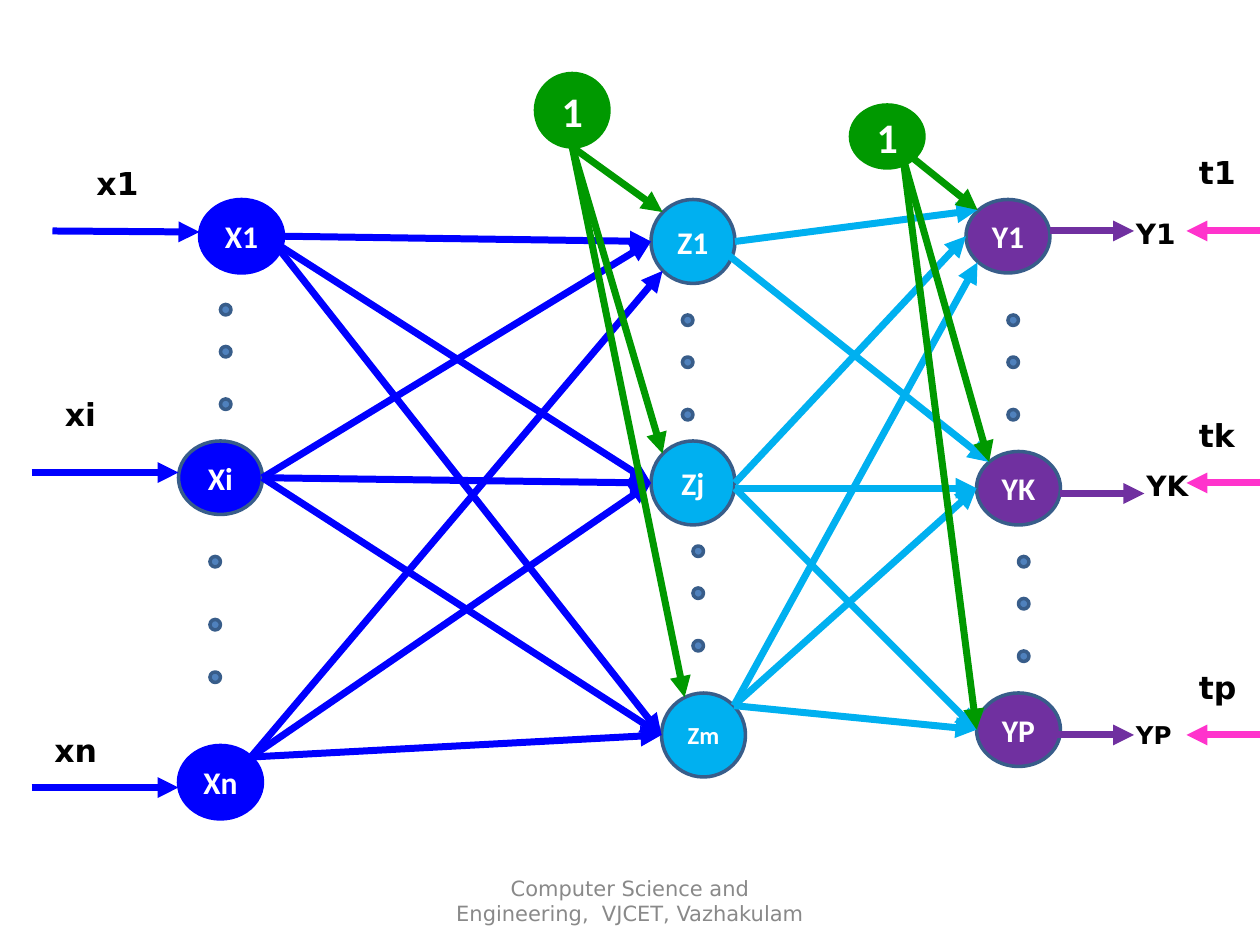
"""Build a slide of a three-layer neural network with bias units and targets."""
from lxml.etree import SubElement
from pptx import Presentation
from pptx.dml.color import RGBColor
from pptx.enum.shapes import MSO_CONNECTOR, MSO_SHAPE
from pptx.enum.text import MSO_ANCHOR, PP_ALIGN
from pptx.oxml.ns import qn
from pptx.util import Pt

PX = 7620
BLUE = RGBColor(0x00, 0x00, 0xFF)
CYAN = RGBColor(0x00, 0xB0, 0xF0)
PURPLE = RGBColor(0x70, 0x30, 0xA0)
GREEN = RGBColor(0x00, 0x99, 0x00)
PINK = RGBColor(0xFF, 0x33, 0xCC)
STEEL = RGBColor(0x4F, 0x81, 0xBD)
OUTLINE = RGBColor(0x38, 0x5D, 0x8A)
WHITE = RGBColor(0xFF, 0xFF, 0xFF)
BLACK = RGBColor(0x00, 0x00, 0x00)
GRAY = RGBColor(0x89, 0x89, 0x89)


def write(shape, text, size, name, color, bold=True, align=PP_ALIGN.CENTER, anchor=MSO_ANCHOR.MIDDLE):
    frame = shape.text_frame
    frame.word_wrap = True
    frame.vertical_anchor = anchor
    para = frame.paragraphs[0]
    para.alignment = align
    span = para.add_run()
    span.text = text
    for key, value in {"size": Pt(size), "name": name, "bold": bold}.items():
        setattr(span.font, key, value)
    span.font.color.rgb = color


def add_circle(left, top, width, height, fill, outline):
    circle = page.shapes.add_shape(
        MSO_SHAPE.OVAL, left * PX, top * PX, width * PX, height * PX)
    circle.shadow.inherit = False
    circle.fill.solid()
    circle.fill.fore_color.rgb = fill
    circle.line.color.rgb = outline
    circle.line.width = Pt(2)
    return circle


deck = Presentation()
deck.slide_width, deck.slide_height = 1200 * PX, 900 * PX
page = deck.slides.add_slide(deck.slide_layouts[6])

nodes = [
    ("1", 510, 70, 70, 70, GREEN, GREEN, 24),
    ("1", 810, 100, 70, 60, GREEN, GREEN, 24),
    ("X1", 190, 190, 80, 70, BLUE, BLUE, 18),
    ("Xi", 170, 420, 80, 70, BLUE, OUTLINE, 18),
    ("Xn", 170, 710, 80, 70, BLUE, BLUE, 18),
    ("Z1", 620, 190, 80, 80, CYAN, OUTLINE, 18),
    ("Zj", 620, 420, 80, 80, CYAN, OUTLINE, 18),
    ("Zm", 630, 660, 80, 80, CYAN, OUTLINE, 14),
    ("Y1", 920, 190, 80, 70, PURPLE, OUTLINE, 18),
    ("YK", 930, 430, 80, 70, PURPLE, OUTLINE, 18),
    ("YP", 930, 660, 80, 70, PURPLE, OUTLINE, 18),
]
for text, left, top, width, height, fill, outline, size in nodes:
    node = add_circle(left, top, width, height, fill, outline)
    write(node, text, size, "Calibri", WHITE)

dot_columns = [
    (210, (290, 330, 380)), (200, (530, 590, 640)),
    (650, (300, 340, 390)), (660, (520, 560, 610)),
    (960, (300, 340, 390)), (970, (530, 570, 620)),
]
for left, tops in dot_columns:
    for top in tops:
        add_circle(left, top, 10, 10, STEEL, OUTLINE)

arrow_fans = [
    (BLUE, (50, 220), [(190, 221)]),
    (BLUE, (30, 450), [(170, 450)]),
    (BLUE, (30, 750), [(170, 750)]),
    (BLUE, (270, 225), [(620, 230)]),
    (BLUE, (260, 230), [(620, 460), (630, 700)]),
    (BLUE, (250, 455), [(620, 230), (620, 460), (630, 700)]),
    (BLUE, (239, 721), [(631, 258), (620, 460), (630, 700)]),
    (CYAN, (700, 230), [(931, 200)]),
    (CYAN, (690, 240), [(942, 440)]),
    (CYAN, (700, 460), [(920, 225)]),
    (CYAN, (700, 465), [(930, 465), (930, 695)]),
    (CYAN, (699, 672), [(931, 250), (930, 465), (930, 695)]),
    (GREEN, (545, 140), [(631, 202), (631, 432), (652, 664)]),
    (GREEN, (870, 151), [(931, 200)]),
    (GREEN, (860, 150), [(942, 440), (930, 695)]),
    (PURPLE, (1000, 220), [(1080, 220)]),
    (PURPLE, (1010, 470), [(1090, 470)]),
    (PURPLE, (1000, 700), [(1080, 700)]),
    (PINK, (1200, 220), [(1130, 220)]),
    (PINK, (1200, 460), [(1130, 460)]),
    (PINK, (1200, 700), [(1130, 700)]),
]
for color, (start_x, start_y), ends in arrow_fans:
    for end_x, end_y in ends:
        arrow = page.shapes.add_connector(
            MSO_CONNECTOR.STRAIGHT, start_x * PX, start_y * PX, end_x * PX, end_y * PX)
        arrow.line.color.rgb = color
        arrow.line.width = Pt(4)
        SubElement(arrow.line._get_or_add_ln(), qn("a:tailEnd"), type="triangle")
        SubElement(arrow._element.spPr, qn("a:effectLst"))

labels = [
    ("x1", 80, 150, 18), ("xi", 50, 370, 18), ("xn", 40, 690, 18),
    ("Y1", 1070, 200, 16), ("YK", 1080, 440, 16), ("YP", 1070, 680, 14),
    ("t1", 1130, 140, 18), ("tk", 1130, 390, 18), ("tp", 1130, 630, 18),
]
for text, left, top, size in labels:
    box = page.shapes.add_textbox(left * PX, top * PX, 70 * PX, 48 * PX)
    write(box, text, size, "DejaVu Sans", BLACK, align=PP_ALIGN.LEFT, anchor=MSO_ANCHOR.TOP)

footer = page.shapes.add_textbox(410 * PX, 834 * PX, 380 * PX, 48 * PX)
write(footer, "Computer Science and Engineering,  VJCET, Vazhakulam", 12, "DejaVu Sans", GRAY, bold=False)

deck.save("out.pptx")
